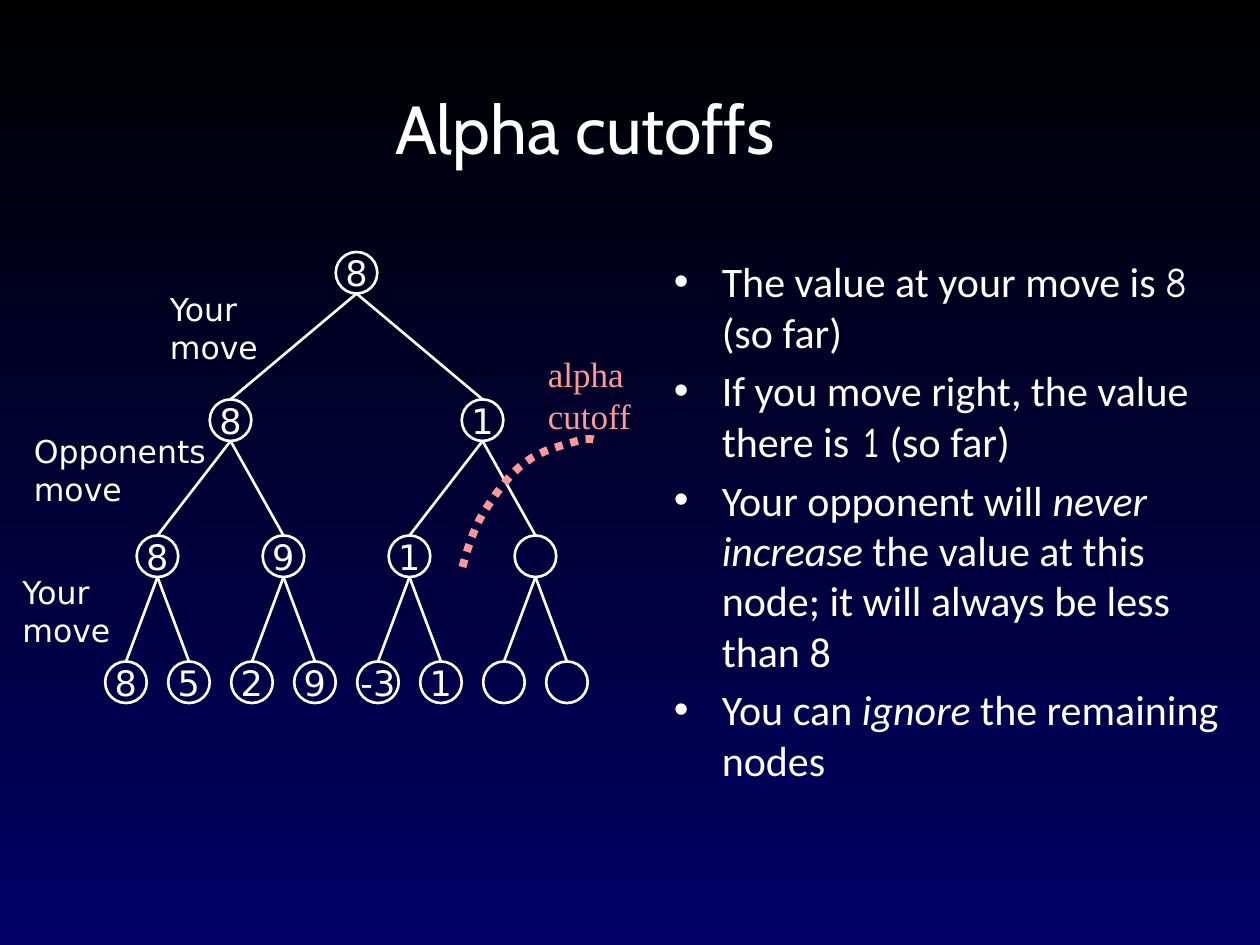
from pptx import Presentation
from pptx.util import Inches, Pt
from pptx.dml.color import RGBColor
from pptx.enum.dml import MSO_LINE as Dash
from pptx.enum.shapes import MSO_SHAPE as Shape, MSO_CONNECTOR as Conn
from pptx.enum.text import PP_ALIGN as Align, MSO_ANCHOR as Anchor
from pptx.oxml.ns import qn
from lxml.etree import SubElement as Sub

WHITE, PINK = "FFFFFF", "FF9999"
SIZE = 0.33
ROWS = [
    (2.83, 0, 2, ["8"]),
    (1.83, 2, 3.17, ["8", "1"]),
    (1.25, 1, 4.25, ["8", "9", "1", ""]),
    (1, 0.5, 5.25, ["8", "5", "2", "9", "-3", "1", "", ""]),
]
LABELS = [
    (1.25, 2.25, 1, "Your\nmove"),
    (0.08, 4.5, 1, "Your\nmove"),
    (0.17, 3.38, 1.75, "Opponents\nmove"),
]
POINTS = [
    [("The value at your move is ", ""), ("8", "comic"), (" (so far)", "")],
    [("If you move right, the value there is", ""), (" 1", "comic"), (" (so far)", "")],
    [("Your opponent will ", ""), ("never increase", "italic"),
     (" the value at this node; it will always be less than 8", "")],
    [("You can ", ""), ("ignore", "italic"), (" the remaining nodes", "")],
]
CURVE = [
    (3.67, 4.5), (3.71, 4.36), (3.75, 4.22), (3.83, 4.08), (3.92, 3.94),
    (4.04, 3.76), (4.17, 3.67), (4.29, 3.57), (4.49, 3.53), (4.58, 3.5),
    (4.68, 3.47), (4.72, 3.49), (4.75, 3.5),
]


def color(code):
    """Turn a hex string into a colour."""
    return RGBColor.from_string(code)


def write(par, text, font="Calibri", size=24, tint=WHITE, italic=False):
    """Add text to a paragraph, breaking it at newlines."""
    for num, line in enumerate(text.split("\n")):
        if num:
            par.add_line_break()
        run = par.add_run()
        run.text = line
        run.font.name, run.font.size = font, Pt(size)
        run.font.color.rgb = color(tint)
        run.font.italic = italic


def add_box(slide, left, top, width, height):
    """Add a wrapping text box and return its frame."""
    box = slide.shapes.add_textbox(*map(Inches, (left, top, width, height)))
    box.text_frame.word_wrap = True
    return box.text_frame


def add_title(slide, text):
    """Add the heading without margins."""
    frame = add_box(slide, 3.14, 0.77, 4.94, 0.56)
    frame.margin_left = frame.margin_right = 0
    frame.margin_top = frame.margin_bottom = 0
    par = frame.paragraphs[0]
    par.line_spacing, par.space_before = Pt(40.6), Pt(2)
    write(par, text, font="Cabin", size=38.8)


def add_points(slide):
    """Add the bulleted list."""
    frame = add_box(slide, 5.25, 1.98, 4.58, 4.56)
    for num, runs in enumerate(POINTS):
        par = frame.add_paragraph() if num else frame.paragraphs[0]
        par.space_after = Pt(4.8)
        props = par._p.get_or_add_pPr()
        props.set("marL", str(Inches(0.38)))
        props.set("indent", str(-Inches(0.38)))
        Sub(props, qn("a:buFont"), typeface="Arial")
        Sub(props, qn("a:buChar"), char="•")
        for text, style in runs:
            font = "Comic Neue" if style == "comic" else "Calibri"
            write(par, text, font=font, italic=style == "italic")


def add_node(slide, mid, top, text):
    """Add a circle of the tree with its value."""
    node = slide.shapes.add_shape(
        Shape.OVAL, *map(Inches, (mid - SIZE / 2, top, SIZE, SIZE)))
    node.shadow.inherit = False
    node.fill.background()
    node.line.color.rgb, node.line.width = color(WHITE), Pt(1.5)
    frame = node.text_frame
    frame.word_wrap, frame.vertical_anchor = False, Anchor.MIDDLE
    if text:
        frame.paragraphs[0].alignment = Align.CENTER
        write(frame.paragraphs[0], text, font="DejaVu Sans", size=20)


def add_edge(slide, start, end):
    """Add a line from a parent to its child."""
    edge = slide.shapes.add_connector(Conn.STRAIGHT, *map(Inches, start + end))
    edge.line.color.rgb, edge.line.width = color(WHITE), Pt(1.5)
    Sub(edge._element.spPr, qn("a:effectLst"))


def add_tree(slide):
    """Add all nodes and the edges between neighbouring rows."""
    for level, (left, step, top, values) in enumerate(ROWS):
        for num, text in enumerate(values):
            mid = left + num * step
            add_node(slide, mid, top, text)
            if level:
                first, gap, above, _ = ROWS[level - 1]
                add_edge(slide, (first + num // 2 * gap, above + SIZE), (mid, top))


def bend(ends, t):
    """Return the point at t on a cubic curve."""
    parts = ((1 - t) ** 3, 3 * t * (1 - t) ** 2, 3 * t * t * (1 - t), t ** 3)
    return tuple(Inches(sum(w * p[axis] for w, p in zip(parts, ends)))
                 for axis in (0, 1))


def add_cut(slide):
    """Add the dotted cutoff curve."""
    dots = [bend(CURVE[i:i + 4], n / 8)
            for i in range(0, len(CURVE) - 1, 3) for n in range(1, 9)]
    form = slide.shapes.build_freeform(*map(Inches, CURVE[0]))
    form.add_line_segments(dots, close=False)
    cut = form.convert_to_shape()
    cut.shadow.inherit = False
    cut.fill.background()
    cut.line.color.rgb, cut.line.width = color(PINK), Pt(4.5)
    cut.line.dash_style = Dash.ROUND_DOT


def add_label(slide, left, top, width, text, **style):
    """Add a two-line label."""
    write(add_box(slide, left, top, width, 0.71).paragraphs[0], text, **style)


def set_back(slide):
    """Fill the background from black down to navy."""
    fill = slide.background.fill
    fill.gradient()
    fill.gradient_angle = 270
    for stop, code in zip(fill.gradient_stops, ("000000", "000066")):
        stop.color.rgb = color(code)


def main():
    """Build and save the slide."""
    deck = Presentation()
    deck.slide_width, deck.slide_height = Inches(10), Inches(7.5)
    slide = deck.slides.add_slide(deck.slide_layouts[6])
    set_back(slide)
    add_title(slide, "Alpha cutoffs")
    add_points(slide)
    add_tree(slide)
    for label in LABELS:
        add_label(slide, *label, font="DejaVu Sans", size=18)
    add_cut(slide)
    add_label(slide, 4.25, 2.75, 1.08, "alpha\ncutoff",
              font="Times New Roman", size=20, tint=PINK)
    deck.save("out.pptx")


if __name__ == "__main__":
    main()
